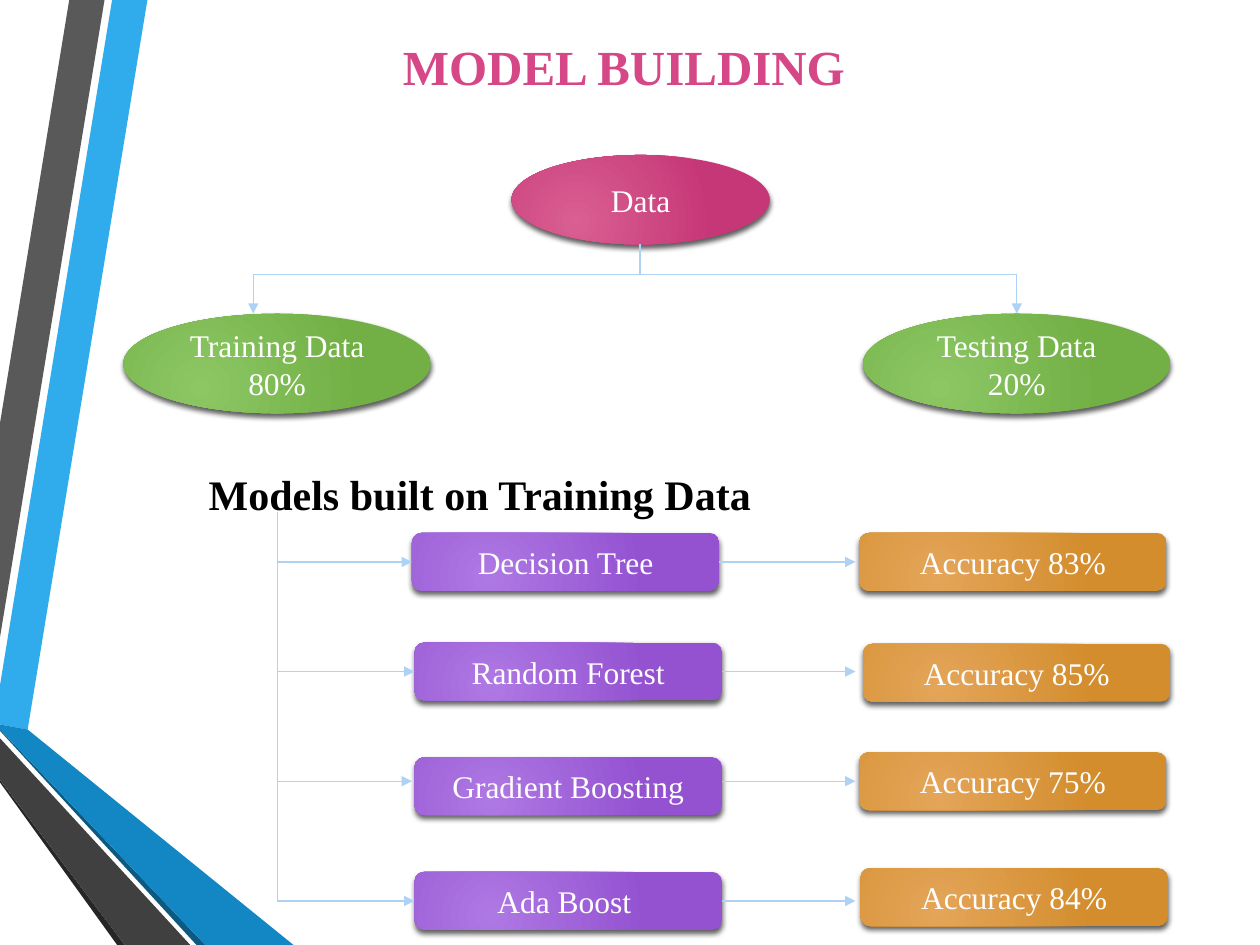
from lxml import etree
from pptx import Presentation
from pptx.dml.color import RGBColor
from pptx.enum.shapes import MSO_CONNECTOR, MSO_SHAPE
from pptx.enum.text import MSO_ANCHOR, PP_ALIGN
from pptx.oxml.ns import qn
from pptx.util import Inches, Pt

STRAIGHT = MSO_CONNECTOR.STRAIGHT
ELLIPSE, ROUNDED = MSO_SHAPE.OVAL, MSO_SHAPE.ROUNDED_RECTANGLE
MIDDLE, CENTER = MSO_ANCHOR.MIDDLE, PP_ALIGN.CENTER
TOP, LEFT, RIGHT = 0, 1, 3

PINK = ("D95F92", "C63777")
GREEN = ("8CC764", "72AF45")
PURPLE = ("AE78E3", "9452D1")
ORANGE = ("E4A559", "D38D2D")


def rgb(hex_color):
    return RGBColor.from_string(hex_color)


def write_text(frame, text, size=18, color="FFFFFF", bold=False):
    """Fill a text frame with centred lines of text."""
    frame.text = text
    frame.word_wrap = True
    frame.vertical_anchor = MIDDLE
    for paragraph in frame.paragraphs:
        paragraph.alignment = CENTER
        font = paragraph.runs[0].font
        font.name = "Times New Roman"
        font.size = Pt(size)
        font.bold = bold
        font.color.rgb = rgb(color)


prs = Presentation()
prs.slide_width, prs.slide_height = Inches(10), Inches(7.5)
slide = prs.slides.add_slide(prs.slide_layouts[5])
shapes = slide.shapes

# Ribbon along the left edge
ribbon = [
    ("30ACEC", [(0, 5.44), (0, 5.75), (0.22, 5.79), (1.17, 0), (0.89, 0)]),
    ("595959", [(0.83, 0), (0.55, 0), (0, 3.36), (0, 5.06)]),
    ("262626", [(0, 6.19), (0, 6.21), (0.93, 7.5), (0.99, 7.5)]),
    ("0C5A82", [(0, 5.79), (0, 5.8), (1.56, 7.5), (1.63, 7.5)]),
    ("1287C3", [(0, 5.79), (1.63, 7.5), (2.33, 7.5), (0.22, 5.79), (0, 5.75)]),
    ("404040", [(0, 6.19), (0.99, 7.5), (1.51, 7.5), (0, 5.86)]),
]
for color, corners in ribbon:
    points = [(Inches(x), Inches(y)) for x, y in corners]
    builder = shapes.build_freeform(*points[0])
    builder.add_line_segments(points[1:], close=True)
    band = builder.convert_to_shape()
    band.shadow.inherit = False
    band.fill.solid()
    band.fill.fore_color.rgb = rgb(color)
    band.line.fill.background()

# Headings
title = shapes.title
title.left, title.top = Inches(1.66), Inches(0.04)
title.width, title.height = Inches(6.68), Inches(0.97)
write_text(title.text_frame, "MODEL BUILDING ", size=28, color="D64787", bold=True)

subtitle = shapes.add_textbox(Inches(0.51), Inches(3.43), Inches(6.68), Inches(0.97))
write_text(subtitle.text_frame, "Models built on Training Data ", size=24,
           color="000000", bold=True)

# Data split and model results
BOX_W, BOX_H = 2.44, 0.46
models = [  # name, left, top, accuracy, left, top, arrow height
    ("Decision Tree", 3.27, 4.23, "Accuracy 83%", 6.82, 4.23, 4.46),
    ("Random Forest", 3.29, 5.1, "Accuracy 85%", 6.85, 5.11, 5.33),
    ("Gradient Boosting", 3.29, 6.01, "Accuracy 75%", 6.82, 5.97, 6.2),
    ("Ada Boost ", 3.29, 6.92, "Accuracy 84%", 6.83, 6.89, 7.15),
]
nodes = [
    (ELLIPSE, "Data", 4.06, 1.23, 2.05, 0.71, PINK),
    (ELLIPSE, "Training Data\n80%", 0.98, 2.49, BOX_W, 0.79, GREEN),
    (ELLIPSE, "Testing Data\n20%", 6.85, 2.49, BOX_W, 0.79, GREEN),
]
for model, left, top, accuracy, accuracy_left, accuracy_top, _ in models:
    nodes.append((ROUNDED, model, left, top, BOX_W, BOX_H, PURPLE))
    nodes.append((ROUNDED, accuracy, accuracy_left, accuracy_top, BOX_W, BOX_H, ORANGE))

node_by_text = {}
for outline, text, left, top, width, height, gradient in nodes:
    node = shapes.add_shape(outline, Inches(left), Inches(top), Inches(width), Inches(height))
    node_by_text[text] = node
    write_text(node.text_frame, text)
    node.line.fill.background()

    node.fill.gradient()
    for stop, color in zip(node.fill.gradient_stops, gradient):
        stop.color.rgb = rgb(color)
    properties = node.element.spPr
    grad_fill = properties.find(qn("a:gradFill"))
    grad_fill.remove(grad_fill.find(qn("a:lin")))
    glow = etree.SubElement(grad_fill, qn("a:path"), path="circle")
    etree.SubElement(glow, qn("a:fillToRect"), l="50000", t="100000", r="100000", b="50000")

    node.shadow.inherit = False
    shadow = etree.SubElement(properties.find(qn("a:effectLst")), qn("a:outerShdw"),
                              blurRad=str(Pt(3)), dist=str(Pt(2)), dir="5400000",
                              algn="ctr", rotWithShape="0")
    shadow_color = etree.SubElement(shadow, qn("a:srgbClr"), val="000000")
    etree.SubElement(shadow_color, qn("a:alpha"), val="64000")

# Connectors: start, end, arrowhead, joined start, joined end
testing = node_by_text["Testing Data\n20%"]
links = [
    ((5.08, 1.94), (5.08, 2.18), False, None, None),
    ((5.08, 2.18), (2.01, 2.18), False, None, None),
    ((8.07, 2.18), (5.08, 2.18), False, None, None),
    ((2.01, 2.18), (2.01, 2.49), True, None, None),
    ((8.07, 2.18), (8.07, 2.49), True, None, (testing, TOP)),
    ((2.2, 4.06), (2.2, 7.15), False, None, None),
]
for model, left, top, *_, arrow_y in models:
    centred = round(top + BOX_H / 2, 2) == arrow_y
    box = node_by_text[model]
    links.append(((2.2, arrow_y), (3.27, arrow_y), True, None, (box, LEFT) if centred else None))
    links.append(((5.73, arrow_y), (6.79, arrow_y), True, (box, RIGHT) if centred else None, None))

for start, end, arrow, joined_start, joined_end in links:
    link = shapes.add_connector(STRAIGHT, *(Inches(value) for value in start + end))
    if joined_start:
        link.begin_connect(*joined_start)
    if joined_end:
        link.end_connect(*joined_end)
    link.line.color.rgb = rgb("AED2F4")
    link.line.width = Pt(0.75)
    if arrow:
        etree.SubElement(link.line._get_or_add_ln(), qn("a:tailEnd"), type="triangle")
    etree.SubElement(link.element.spPr, qn("a:effectLst"))

prs.save("out.pptx")
